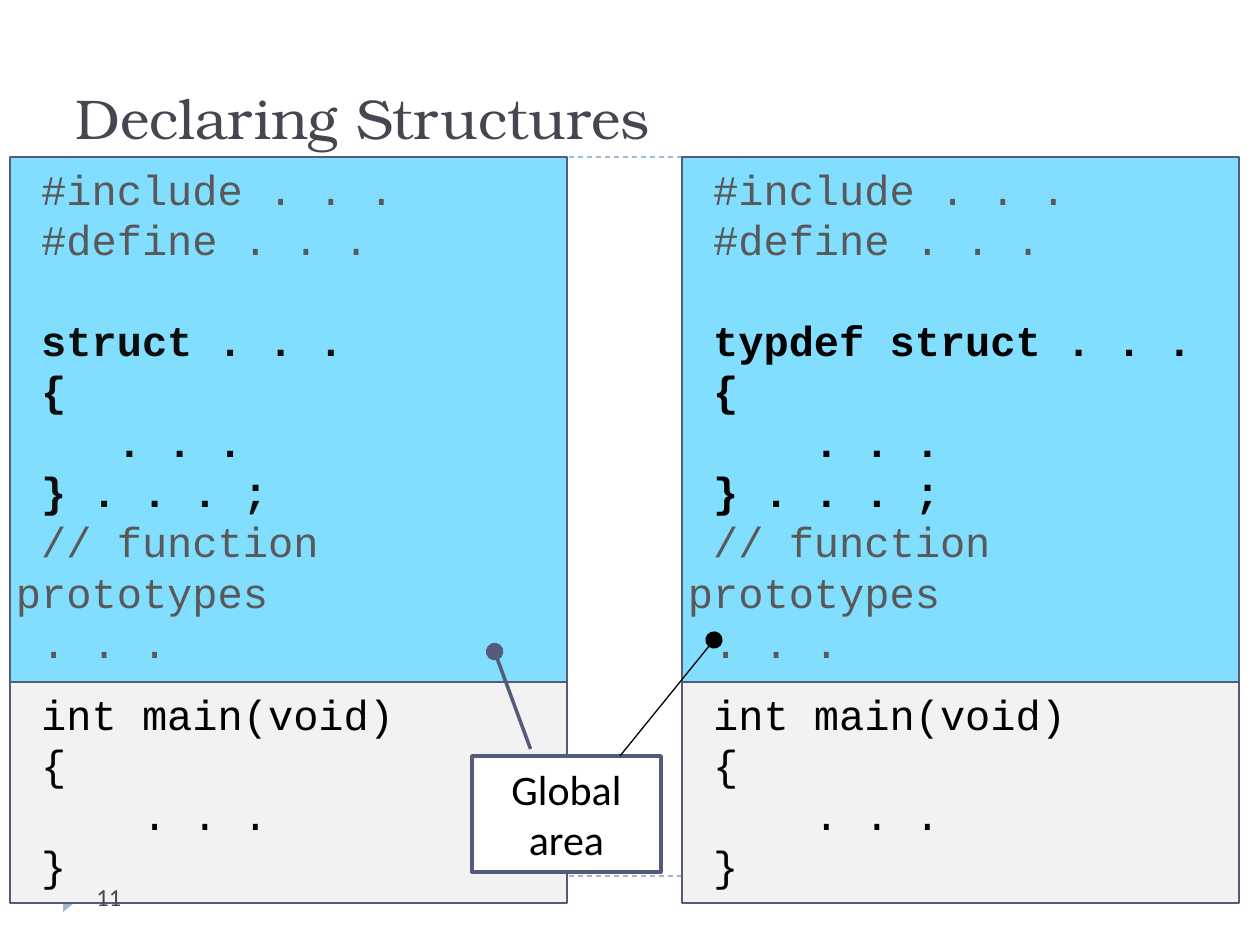
import pptx
import pptx.util
import pptx.dml.color
import pptx.enum.dml
import pptx.enum.shapes
import pptx.enum.text
import pptx.oxml.ns
from lxml import etree

SCALE = 914400 / 126
SHAPES = pptx.enum.shapes.MSO_SHAPE
STRAIGHT = pptx.enum.shapes.MSO_CONNECTOR.STRAIGHT
ANCHORS = pptx.enum.text.MSO_ANCHOR
Pt = pptx.util.Pt
GRAY, NEAR_BLACK, BLACK = "595959", "0D0D0D", "000000"
BORDER, ACCENT, TITLE = "545C79", "9FB8CD", "464653"


def px(*lengths):
    return [pptx.util.Emu(round(length * SCALE)) for length in lengths]


def rgb(color):
    return pptx.dml.color.RGBColor.from_string(color)


presentation = pptx.Presentation()
presentation.slide_width, presentation.slide_height = px(1260, 945)
slide = presentation.slides.add_slide(presentation.slide_layouts[5])
shapes = slide.shapes

# Title
title = shapes.title
title.left, title.top, title.width, title.height = px(63, 21, 1134, 136)
title.text_frame.vertical_anchor = ANCHORS.BOTTOM
paragraph = title.text_frame.paragraphs[0]
paragraph.alignment = pptx.enum.text.PP_ALIGN.LEFT
run = paragraph.add_run()
run.text = "Declaring Structures"
run.font.name, run.font.size = "TeX Gyre Bonum", Pt(32)
run.font.color.rgb = rgb(TITLE)

# Dashed rules and page marker
connectors = []
for top in (157, 876):
    rule = shapes.add_connector(STRAIGHT, *px(63, top, 1197, top))
    rule.line.color.rgb = rgb(ACCENT)
    rule.line.width = Pt(0.75)
    rule.line.dash_style = pptx.enum.dml.MSO_LINE.DASH
    connectors.append(rule)

marker = shapes.add_shape(SHAPES.ISOSCELES_TRIANGLE, *px(58, 891, 26, 16))
marker.rotation = 90
marker.shadow.inherit = False
marker.fill.solid()
marker.fill.fore_color.rgb = rgb(ACCENT)
marker.line.fill.background()

# Code boxes: a global area above a main function, in two columns
plain_start = [(" #include . . .", GRAY, False), (" #define . . .", GRAY, False), ("", GRAY, False)]
plain_end = [(" // function prototypes", GRAY, False), (" . . .", GRAY, False)]
main_code = [(line, BLACK, False) for line in (" int main(void)", " {", "     . . .", " }")]
columns = [
    (10, NEAR_BLACK, [" struct . . .", " {", "    . . .", " } . . . ;"]),
    (682, BLACK, [" typdef struct . . .", " {", "     . . .", " } . . . ;"]),
]
for left, color, declaration in columns:
    global_code = plain_start + [(line, color, True) for line in declaration] + plain_end
    for top, height, fill, code in [
        (157, 525, "81DEFF", global_code),
        (682, 221, "F2F2F2", main_code),
    ]:
        box = shapes.add_shape(SHAPES.RECTANGLE, *px(left, top, 557, height))
        box.shadow.inherit = False
        box.fill.solid()
        box.fill.fore_color.rgb = rgb(fill)
        box.line.color.rgb = rgb(BORDER)
        box.line.width = Pt(1.5)
        frame = box.text_frame
        frame.word_wrap = True
        frame.vertical_anchor = ANCHORS.TOP
        frame.margin_left, frame.margin_top, frame.margin_right, frame.margin_bottom = px(6, 6, 6, 6)
        for index, (line, line_color, bold) in enumerate(code):
            paragraph = frame.add_paragraph() if index else frame.paragraphs[0]
            paragraph.alignment = pptx.enum.text.PP_ALIGN.LEFT
            paragraph.font.name, paragraph.font.size = "Courier New", Pt(24)
            if line:
                run = paragraph.add_run()
                run.text = line
                run.font.name, run.font.size = "Courier New", Pt(24)
                run.font.bold = bold
                run.font.color.rgb = rgb(line_color)

# Callout pointing into both global areas
callout = shapes.add_shape(SHAPES.LINE_CALLOUT_1, *px(472, 756, 189, 116))
for index, value in enumerate((-0.06, 0.31, -0.9, 0.12)):
    callout.adjustments[index] = value
callout.shadow.inherit = False
callout.fill.solid()
callout.fill.fore_color.rgb = rgb("FFFFFF")
callout.line.color.rgb = rgb(BORDER)
callout.line.width = Pt(2)
callout.text_frame.word_wrap = True
callout.text_frame.vertical_anchor = ANCHORS.MIDDLE
paragraph = callout.text_frame.paragraphs[0]
paragraph.alignment = pptx.enum.text.PP_ALIGN.CENTER
run = paragraph.add_run()
run.text = "Global area"
run.font.name, run.font.size = "Calibri", Pt(24)
run.font.color.rgb = rgb(BLACK)

pointer = shapes.add_connector(STRAIGHT, *px(620, 756, 714, 640))
pointer.line.color.rgb = rgb(BLACK)
pointer.line.width = Pt(0.75)
connectors.append(pointer)

for shape in (callout, pointer):
    tail = etree.SubElement(shape.line._get_or_add_ln(), pptx.oxml.ns.qn("a:tailEnd"))
    for name, value in (("type", "oval"), ("w", "lg"), ("len", "lg")):
        tail.set(name, value)
for connector in connectors:
    etree.SubElement(connector._element.spPr, pptx.oxml.ns.qn("a:effectLst"))

# Page number
number = shapes.add_textbox(*px(84, 876, 273, 50))
number.text_frame.word_wrap = True
run = number.text_frame.paragraphs[0].add_run()
run.text = "11"
run.font.name, run.font.size = "Calibri", Pt(14)
run.font.color.rgb = rgb(TITLE)

presentation.save("out.pptx")
